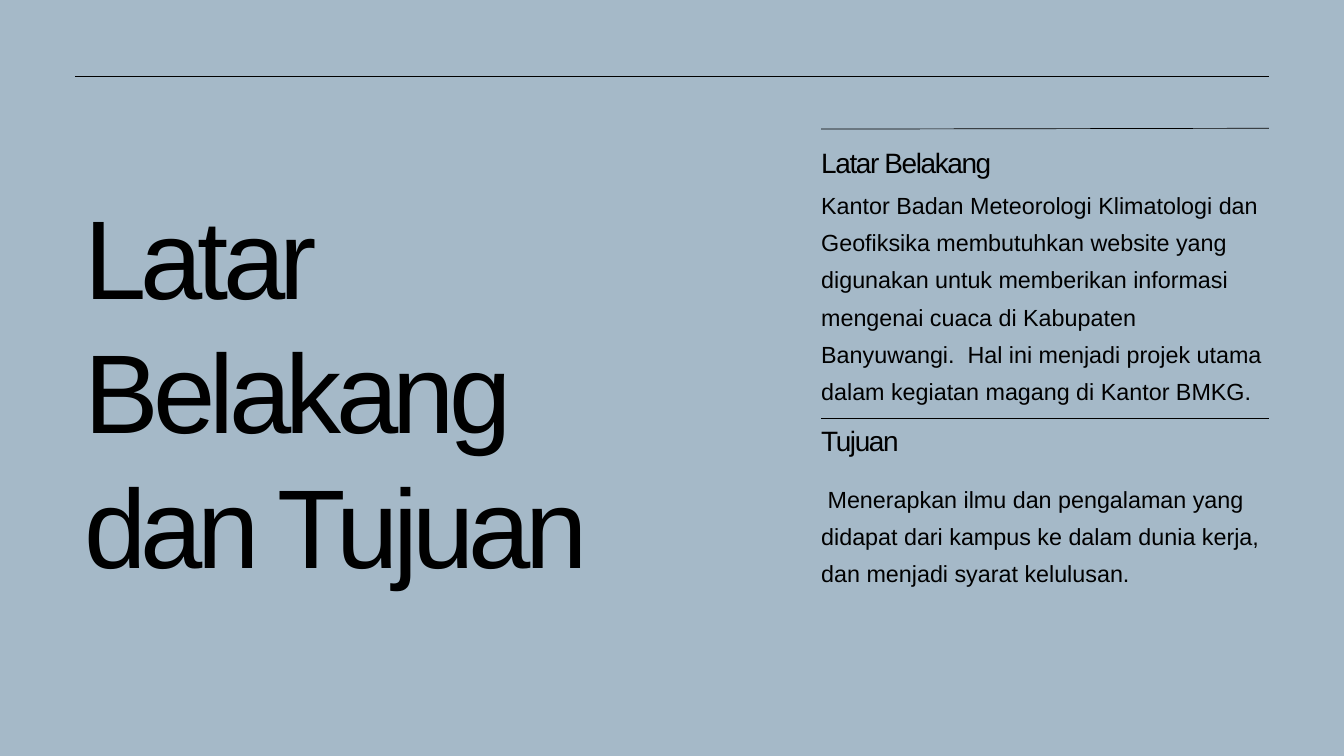
import pptx
import pptx.dml.color
import pptx.enum.shapes
import pptx.enum.text
import pptx.oxml.ns
import pptx.util
from lxml import etree
from pptx.util import Cm

BLACK = pptx.dml.color.RGBColor(0x00, 0x00, 0x00)
BLUE_GREY = pptx.dml.color.RGBColor(0xA5, 0xB9, 0xC8)

MARGIN, RIGHT = 2.84, 47.96
COLUMN_LEFT, COLUMN_WIDTH = 31.04, 16.92

# Font size, line spacing and letter spacing in points
TITLE_STYLE = (120, 144, -6)
HEADING_STYLE = (30, 36, -1.5)
BODY_STYLE = (25, 40, 0)


def write_text(box, text, style):
    size, line_spacing, letter_spacing = style
    frame = box.text_frame
    frame_format = {
        "margin_left": 0, "margin_top": 0, "margin_right": 0, "margin_bottom": 0,
        "word_wrap": True,
        "auto_size": pptx.enum.text.MSO_AUTO_SIZE.NONE,
        "vertical_anchor": pptx.enum.text.MSO_ANCHOR.TOP,
    }
    for name, value in frame_format.items():
        setattr(frame, name, value)
    para = frame.paragraphs[0]
    para.alignment = pptx.enum.text.PP_ALIGN.LEFT
    para.line_spacing = pptx.util.Pt(line_spacing)
    span = para.add_run()
    span.text = text
    for name, value in {"name": "Arial", "size": pptx.util.Pt(size)}.items():
        setattr(span.font, name, value)
    span.font.color.rgb = BLACK
    if letter_spacing:
        span.font._element.set("spc", str(int(letter_spacing * 100)))


deck = pptx.Presentation()
deck.slide_width, deck.slide_height = Cm(50.8), Cm(28.58)
page = deck.slides.add_slide(deck.slide_layouts[5])
page.background.fill.solid()
page.background.fill.fore_color.rgb = BLUE_GREY

title = page.shapes.title
title_place = {"left": 3.18, "top": 7.09, "width": 22.56, "height": 15.93}
for name, value in title_place.items():
    setattr(title, name, Cm(value))
write_text(title, "Latar Belakang dan Tujuan", TITLE_STYLE)

# Right column: top, height, text, style
column_texts = [
    (5.49, 1.37, "Latar Belakang", HEADING_STYLE),
    (6.86, 8.31,
     "Kantor Badan Meteorologi Klimatologi dan Geofiksika membutuhkan website "
     "yang digunakan untuk memberikan informasi mengenai cuaca di Kabupaten "
     "Banyuwangi.  Hal ini menjadi projek utama dalam kegiatan magang di "
     "Kantor BMKG.", BODY_STYLE),
    (16.03, 1.37, "Tujuan", HEADING_STYLE),
    (17.98, 4.09,
     " Menerapkan ilmu dan pengalaman yang didapat dari kampus ke dalam dunia "
     "kerja, dan menjadi syarat kelulusan.", BODY_STYLE),
]
for top, height, text, style in column_texts:
    box = page.shapes.add_textbox(Cm(COLUMN_LEFT), Cm(top), Cm(COLUMN_WIDTH), Cm(height))
    write_text(box, text, style)

# Rules: left end, height at the left, height at the right
rules = [(MARGIN, 2.87, 2.87), (COLUMN_LEFT, 4.88, 4.85), (COLUMN_LEFT, 15.82, 15.82)]
for left, start, end in rules:
    rule = page.shapes.add_connector(
        pptx.enum.shapes.MSO_CONNECTOR.STRAIGHT, Cm(left), Cm(start), Cm(RIGHT), Cm(end))
    rule.line.color.rgb = BLACK
    rule.line.width = pptx.util.Pt(0.75)
    etree.SubElement(rule._element.spPr, pptx.oxml.ns.qn("a:effectLst"))

deck.save("out.pptx")
